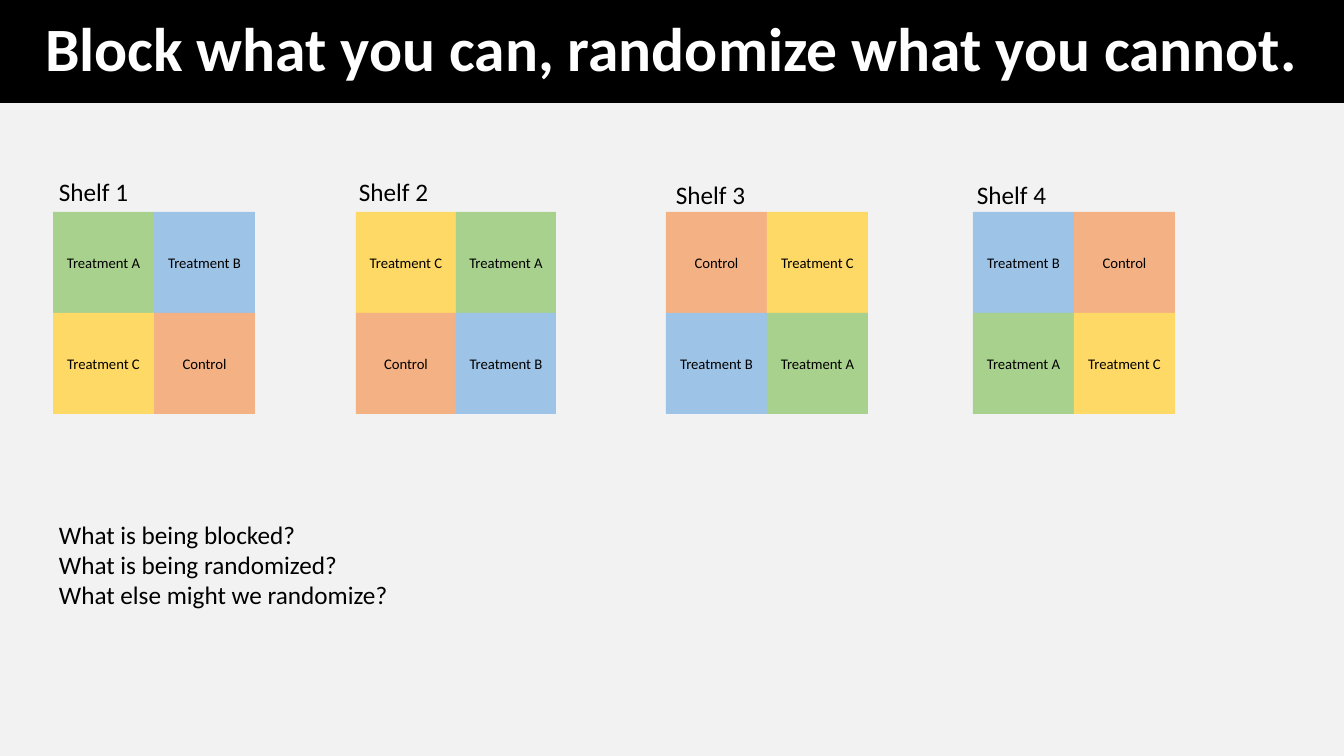
from pptx import Presentation
from pptx import util as u
from pptx.dml.color import RGBColor
from pptx.enum import shapes, text

TITLE = "Block what you can, randomize what you cannot."
QUESTIONS = ["What is being blocked?", "What is being randomized?", "What else might we randomize?"]
FILLS = {"Treatment A": "A9D18E", "Treatment B": "9DC3E6", "Treatment C": "FFD966", "Control": "F4B183"}
SHELVES = [
    {"name": "Shelf 1", "label": (49, 171), "grid": (53, 212), "cell": 101,
     "plots": ["Treatment A", "Treatment B", "Treatment C", "Control"]},
    {"name": "Shelf 2", "label": (349, 171), "grid": (356, 212), "cell": 100,
     "plots": ["Treatment C", "Treatment A", "Control", "Treatment B"]},
    {"name": "Shelf 3", "label": (666, 174), "grid": (666, 212), "cell": 101,
     "plots": ["Control", "Treatment C", "Treatment B", "Treatment A"]},
    {"name": "Shelf 4", "label": (967, 174), "grid": (973, 212), "cell": 101,
     "plots": ["Treatment B", "Control", "Treatment A", "Treatment C"]},
]
WIDTH, HEIGHT = 1344, 756
CELL_HEIGHT = 101
SCALE = u.Inches(1) / 100.8


def px(*lengths):
    return [u.Emu(round(length * SCALE)) for length in lengths]


def color(value):
    return RGBColor.from_string(value)


def paint(shape, value):
    shape.fill.solid()
    shape.fill.fore_color.rgb = color(value)


def write(shape, lines, size, ink="000000", align=text.PP_ALIGN.LEFT, bold=False):
    frame = shape.text_frame
    frame.text = "\n".join(lines)
    for para in frame.paragraphs:
        para.alignment = align
        for span in para.runs:
            span.font.name = "Calibri"
            span.font.size = u.Pt(size)
            span.font.bold = bold
            span.font.color.rgb = color(ink)
    return frame


def add_title(page):
    title = page.shapes.title
    title.left, title.top, title.width, title.height = px(0, 0, WIDTH, 103)
    paint(title, "000000")
    frame = write(title, [TITLE], 44, "FFFFFF", text.PP_ALIGN.CENTER, True)
    frame.auto_size = text.MSO_AUTO_SIZE.NONE
    frame.vertical_anchor = text.MSO_ANCHOR.MIDDLE
    frame.paragraphs[0].line_spacing = 0.9


def add_note(page, lines, bounds, wrap):
    frame = write(page.shapes.add_textbox(*px(*bounds)), lines, 18)
    frame.word_wrap = wrap
    frame.auto_size = text.MSO_AUTO_SIZE.SHAPE_TO_FIT_TEXT


def add_shelf(page, shelf):
    left, top = shelf["grid"]
    width = shelf["cell"]
    block = page.shapes.add_group_shape()
    for index, plot in enumerate(shelf["plots"]):
        row, column = divmod(index, 2)
        bounds = px(left + column * width, top + row * CELL_HEIGHT, width, CELL_HEIGHT)
        cell = block.shapes.add_shape(shapes.MSO_SHAPE.RECTANGLE, *bounds)
        cell.shadow.inherit = False
        cell.line.fill.background()
        paint(cell, FILLS[plot])
        frame = write(cell, [plot], 10.5, align=text.PP_ALIGN.CENTER)
        frame.vertical_anchor = text.MSO_ANCHOR.MIDDLE
    add_note(page, [shelf["name"]], (*shelf["label"], 92, 40), True)


def main():
    """Build the slide on blocking and randomizing shelf treatments."""
    deck = Presentation()
    deck.slide_width, deck.slide_height = px(WIDTH, HEIGHT)
    page = deck.slides.add_slide(deck.slide_layouts[5])
    paint(page.background, "F2F2F2")
    add_title(page)
    for shelf in SHELVES:
        add_shelf(page, shelf)
    add_note(page, QUESTIONS, (49, 514, 353, 102), False)
    deck.save("out.pptx")


if __name__ == "__main__":
    main()
